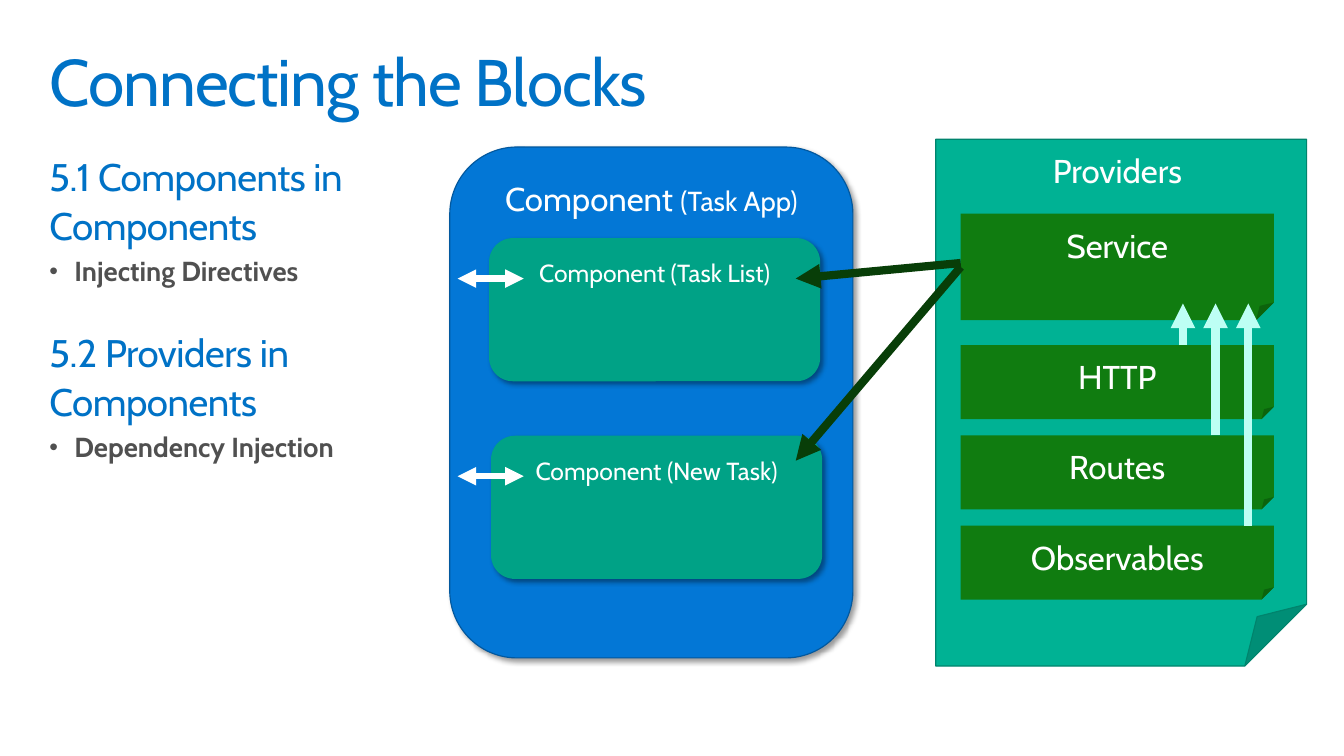
from lxml import etree
from pptx import Presentation
from pptx.dml.color import RGBColor
from pptx.enum.shapes import MSO_CONNECTOR, MSO_SHAPE
from pptx.enum.text import MSO_ANCHOR, MSO_AUTO_SIZE, PP_ALIGN
from pptx.oxml.ns import qn
from pptx.util import Cm, Pt

ROUNDED, FOLDED = MSO_SHAPE.ROUNDED_RECTANGLE, MSO_SHAPE.FOLDED_CORNER
STRAIGHT = MSO_CONNECTOR.STRAIGHT
TOP = MSO_ANCHOR.TOP
LEFT, CENTER = PP_ALIGN.LEFT, PP_ALIGN.CENTER
NO_FIT, GROW = MSO_AUTO_SIZE.NONE, MSO_AUTO_SIZE.SHAPE_TO_FIT_TEXT

FONT = "Cabin"
WHITE = RGBColor(0xFF, 0xFF, 0xFF)
HEADING_BLUE = RGBColor(0x00, 0x72, 0xC6)
GREY = RGBColor(0x50, 0x50, 0x50)
APP_BLUE = RGBColor(0x03, 0x77, 0xD6)
APP_EDGE = RGBColor(0x02, 0x58, 0x9E)
COMPONENT_TEAL = RGBColor(0x00, 0xA2, 0x86)
PROVIDER_TEAL = RGBColor(0x00, 0xB2, 0x94)
PROVIDER_EDGE = RGBColor(0x00, 0x84, 0x6D)
GREEN = RGBColor(0x10, 0x7C, 0x10)
DARK_GREEN = RGBColor(0x08, 0x3E, 0x08)
PALE_AQUA = RGBColor(0xBD, 0xFF, 0xF4)

TITLE = "Connecting the Blocks"
SECTIONS = [
    (["5.1 Components in", "Components"], "Injecting Directives"),
    (["5.2 Providers in", "Components"], "Dependency Injection"),
]
APP_TEXT = [("Component ", 24), ("(Task App)", 20)]
COMPONENTS = [("Component (Task List)", 12.57, 6.12), ("Component (New Task)", 12.62, 11.2)]
PROVIDERS = ["HTTP", "Routes", "Observables"]

COMPONENT_SIZE = (8.51, 3.68)
PROVIDER_LEFT, PROVIDER_WIDTH = 24.69, 8.05
PROVIDER_TOP, PROVIDER_HEIGHT, PROVIDER_STEP = 8.87, 1.9, 2.32
SERVICE_TOP, SERVICE_HEIGHT = 5.49, 2.74
FEED_LEFT, FEED_STEP, FEED_END = 30.4, 0.84, 7.8
BINDING_DROP = 1.04
INJECTION_END = 20.45


def style_run(span, size, color, bold=False, tracking=0):
    """Apply the slide font, size, colour and tracking to one run."""
    span.font.name, span.font.size = FONT, Pt(size)
    span.font.bold, span.font.color.rgb = bold, color
    span._r.get_or_add_rPr().set("spc", str(tracking))


def place(holder, left, top, width, height, fit):
    """Move a placeholder and set its frame."""
    holder.left, holder.top, holder.width, holder.height = map(Cm, (left, top, width, height))
    frame = holder.text_frame
    frame.word_wrap, frame.auto_size, frame.vertical_anchor = True, fit, TOP
    frame.margin_left = frame.margin_right = Cm(0.25)
    frame.margin_top = frame.margin_bottom = Cm(0.25)
    return frame


def add_line(frame, text, level, before):
    """Add a heading line or a bulleted line to the body list."""
    para = frame.paragraphs[0] if not frame.text else frame.add_paragraph()
    para.text, para.level, para.alignment = text, level, LEFT
    para.line_spacing, para.space_before, para.space_after = 0.9, Pt(before), Pt(0)
    properties = para._p.get_or_add_pPr()
    indent = Cm(0.64) if level else 0
    properties.set("marL", str(indent))
    properties.set("indent", str(-indent))
    if level:
        etree.SubElement(properties, qn("a:buSzPct"), val="90000")
        etree.SubElement(properties, qn("a:buFont"), typeface="Arial")
        etree.SubElement(properties, qn("a:buChar"), char="•")
        style_run(para.runs[0], 20, GREY, bold=True)
    else:
        etree.SubElement(properties, qn("a:buNone"))
        style_run(para.runs[0], 28, HEADING_BLUE, tracking=-30)


def add_block(page, kind, bounds, fill, spans, edge=None, shadow=False):
    """Add a filled block with centred text at its top."""
    block = page.shapes.add_shape(kind, *map(Cm, bounds))
    block.shadow.inherit = False
    block.fill.solid()
    block.fill.fore_color.rgb = fill
    if edge is None:
        block.line.fill.background()
    else:
        block.line.color.rgb, block.line.width = edge, Pt(0.85)
    if shadow:
        effects = block._element.spPr.find(qn("a:effectLst"))
        outer = etree.SubElement(effects, qn("a:outerShdw"), blurRad=str(Pt(4)),
                                 dist=str(Pt(3)), dir="2700000", algn="tl", rotWithShape="0")
        color = etree.SubElement(outer, qn("a:srgbClr"), val="000000")
        etree.SubElement(color, qn("a:alpha"), val="40000")
    frame = block.text_frame
    frame.word_wrap, frame.vertical_anchor = True, TOP
    frame.margin_left = frame.margin_right = Cm(0.51)
    frame.margin_top = frame.margin_bottom = Cm(0.41)
    para = frame.paragraphs[0]
    para.alignment, para.line_spacing = CENTER, 0.9
    for text, size in spans:
        span = para.add_run()
        span.text = text
        style_run(span, size, WHITE)
    return block


def add_arrow(page, start, end, color, width, both=False):
    """Add a straight arrow, with heads at both ends if asked."""
    arrow = page.shapes.add_connector(STRAIGHT, *map(Cm, (*start, *end)))
    arrow.line.color.rgb, arrow.line.width = color, Pt(width)
    line = arrow.line._get_or_add_ln()
    for tag in ["a:headEnd", "a:tailEnd"] if both else ["a:tailEnd"]:
        etree.SubElement(line, qn(tag), type="triangle")
    etree.SubElement(arrow._element.spPr, qn("a:effectLst"))
    return arrow


def main():
    """Build and save the slide."""
    deck = Presentation()
    deck.slide_width, deck.slide_height = Cm(34.54), Cm(19.43)
    page = deck.slides.add_slide(deck.slide_layouts[1])

    title = place(page.shapes.title, 1.02, 1.02, 32.51, 2.54, NO_FIT)
    title.text = TITLE
    para = title.paragraphs[0]
    para.alignment, para.line_spacing = LEFT, 0.9
    style_run(para.runs[0], 48, HEADING_BLUE, tracking=-70)

    body = place(page.placeholders[1], 1.02, 3.81, 32.51, 8.43, GROW)
    for number, (headings, detail) in enumerate(SECTIONS):
        for row, heading in enumerate(headings):
            add_line(body, heading, 0, 34 if number and not row else 6)
        add_line(body, detail, 1, 6)

    add_block(page, ROUNDED, (11.56, 3.78, 10.36, 13.13), APP_BLUE, APP_TEXT, APP_EDGE, True)
    for name, left, top in COMPONENTS:
        add_block(page, ROUNDED, (left, top, *COMPONENT_SIZE), COMPONENT_TEAL,
                  [(name, 18)], shadow=True)
        binding = top + BINDING_DROP
        add_arrow(page, (13.46, binding), (11.76, binding), WHITE, 4.5, both=True)

    add_block(page, FOLDED, (24.05, 3.58, 9.53, 13.54), PROVIDER_TEAL,
              [("Providers ", 24)], PROVIDER_EDGE)
    service = add_block(page, FOLDED, (PROVIDER_LEFT, SERVICE_TOP, PROVIDER_WIDTH, SERVICE_HEIGHT),
                        GREEN, [("Service", 24)])
    tops = [PROVIDER_TOP + PROVIDER_STEP * number for number in range(len(PROVIDERS))]
    for name, top in zip(PROVIDERS, tops):
        add_block(page, FOLDED, (PROVIDER_LEFT, top, PROVIDER_WIDTH, PROVIDER_HEIGHT),
                  GREEN, [(name, 24)])
    for number, top in enumerate(tops):
        across = FEED_LEFT + FEED_STEP * number
        add_arrow(page, (across, top), (across, FEED_END), PALE_AQUA, 6)

    add_arrow(page, (PROVIDER_LEFT, 6.76), (INJECTION_END, 7.16), DARK_GREEN, 6)
    middle = SERVICE_TOP + SERVICE_HEIGHT / 2
    injection = add_arrow(page, (PROVIDER_LEFT, middle), (INJECTION_END, 11.84), DARK_GREEN, 6)
    injection.begin_connect(service, 1)

    deck.save("out.pptx")


if __name__ == "__main__":
    main()
